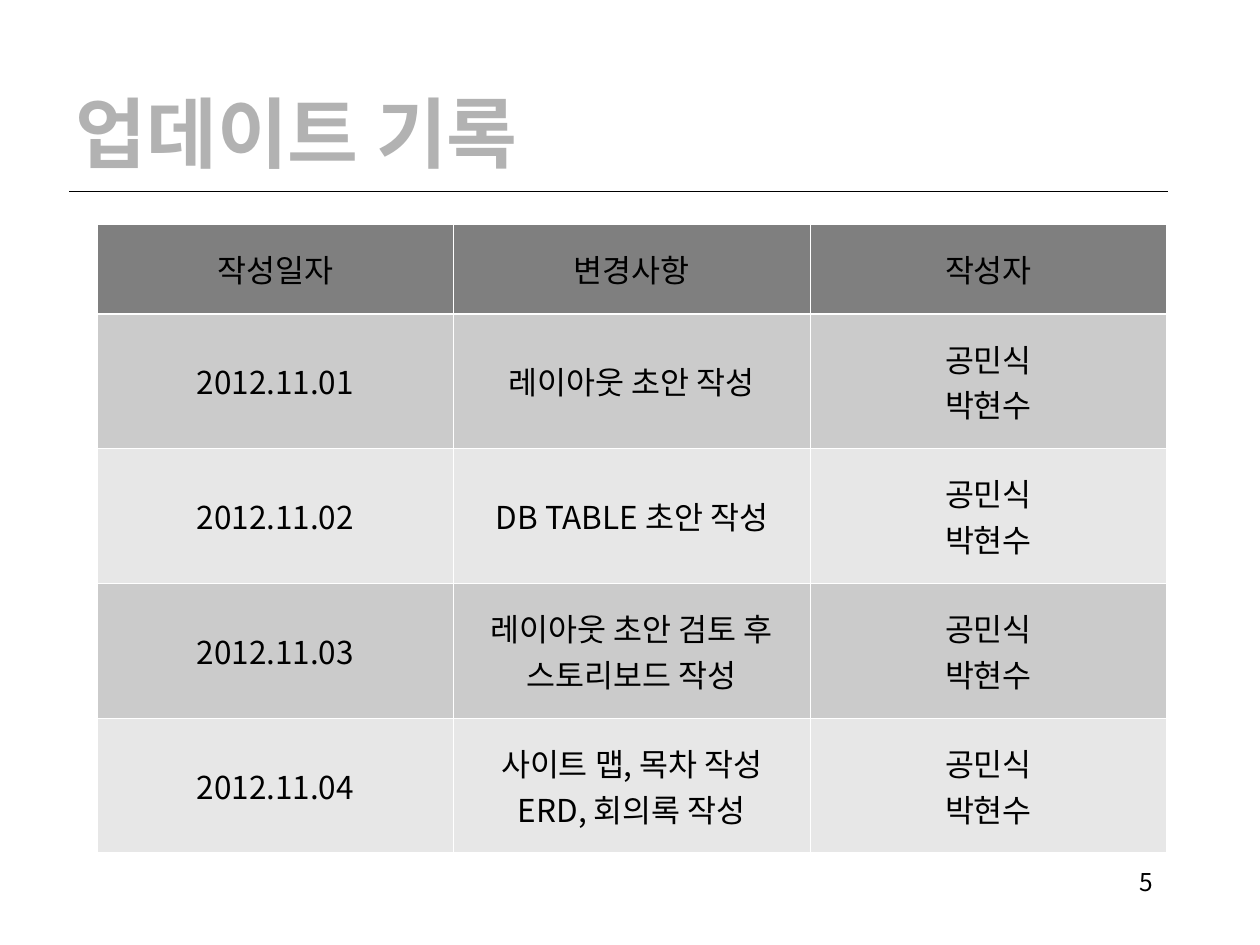
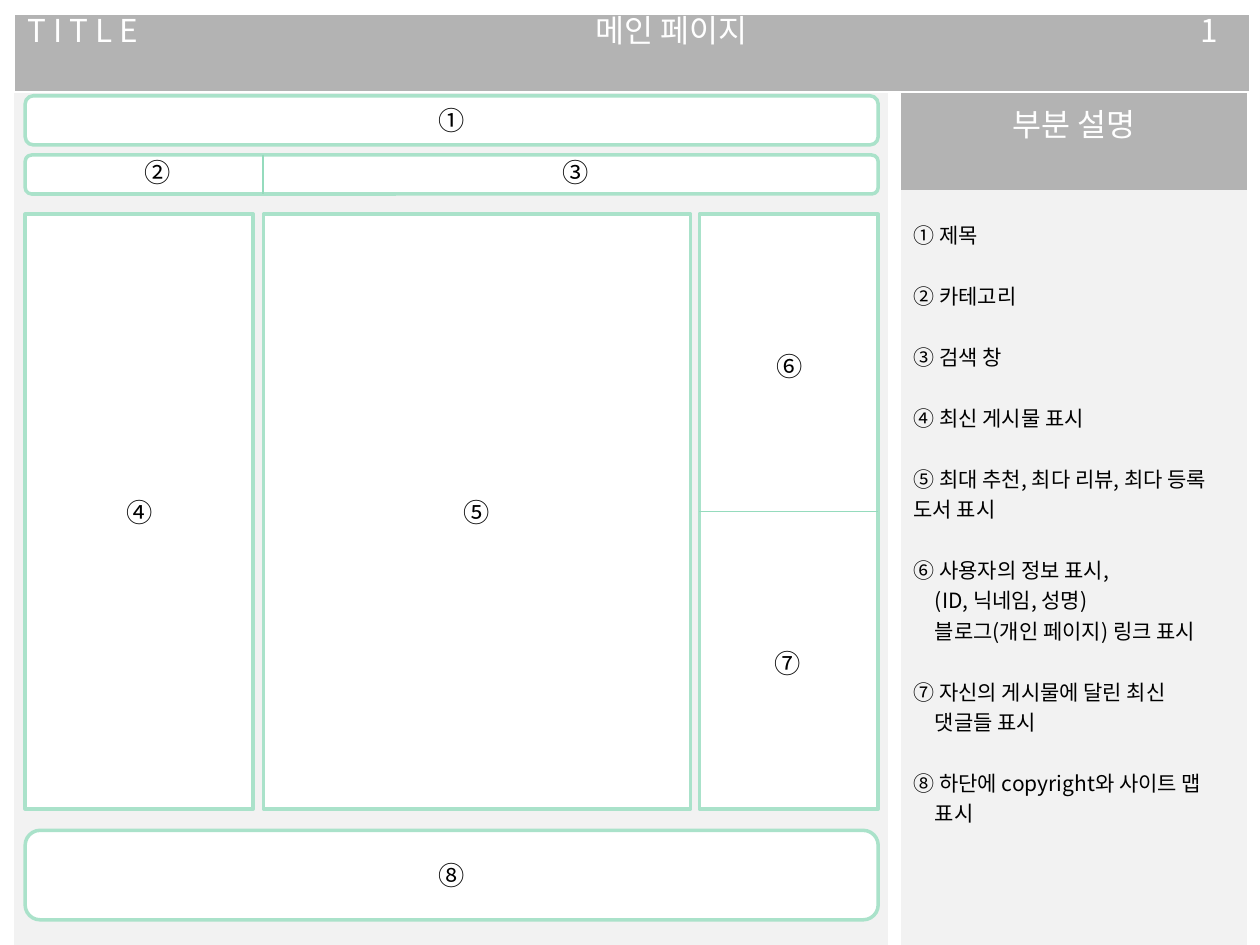
from dataclasses import dataclass
from typing import NamedTuple

from lxml.etree import SubElement
from pptx import Presentation
from pptx.dml.color import RGBColor
from pptx.enum.shapes import MSO_CONNECTOR, MSO_SHAPE
from pptx.enum.text import MSO_ANCHOR, PP_ALIGN
from pptx.oxml import parse_xml
from pptx.oxml.ns import nsdecls, qn
from pptx.util import Inches, Pt

# Shared colours, fonts and text formats
COLORS = {
    "black": "000000", "white": "FFFFFF", "title": "B2B2B2",
    "band": "B3B3B3", "panel": "F2F2F2", "head": "7F7F7F",
    "dark": "CBCBCB", "light": "E7E7E7", "mint": "AAE2CA", "split": "95DBBD",
}
SANS = "Noto Sans CJK KR"
LEFT, MID, RIGHT = PP_ALIGN.LEFT, PP_ALIGN.CENTER, PP_ALIGN.RIGHT


@dataclass(frozen=True)
class Style:
    font: dict
    para: dict
    color: str = "black"


STYLES = {
    "title": Style({"name": "DejaVu Sans", "size": Pt(44), "bold": True},
                   {"alignment": LEFT}, "title"),
    "page": Style({"name": SANS, "size": Pt(14)}, {"alignment": RIGHT}),
    "cell": Style({"name": SANS, "size": Pt(18)}, {"alignment": MID}),
    "mark": Style({"name": SANS, "size": Pt(15)}, {"alignment": MID}),
    "note": Style({"name": SANS, "size": Pt(12)}, {"alignment": LEFT}),
    "band": Style({"name": SANS, "size": Pt(18)},
                  {"alignment": MID, "line_spacing": 0.58}, "white"),
    "left": Style({"name": SANS, "size": Pt(18)},
                  {"alignment": LEFT, "line_spacing": 0.58}, "white"),
    "side": Style({"name": SANS, "size": Pt(18)}, {"alignment": MID}, "white"),
}


class Box(NamedTuple):
    left: float
    top: float
    width: float
    height: float

    def place(self) -> list:
        return [Inches(v) for v in self]


@dataclass(frozen=True)
class Part:
    box: Box
    text: str = ""
    kind: int = MSO_SHAPE.RECTANGLE


@dataclass(frozen=True)
class Line:
    start: tuple
    end: tuple
    color: str
    width: float


def paint(name: str) -> RGBColor:
    return RGBColor.from_string(COLORS[name])


def apply(item, values: dict) -> None:
    for key, value in values.items():
        setattr(item, key, value)


# Text
def write(frame, text: str, style: str) -> None:
    look = STYLES[style]
    for i, row in enumerate(text.split("\n")):
        para = frame.paragraphs[0] if i == 0 else frame.add_paragraph()
        apply(para, look.para)
        run = para.add_run()
        run.text = row
        apply(run.font, look.font)
        run.font.color.rgb = paint(look.color)
        SubElement(run.font._element, qn("a:ea"), typeface=SANS)


def add_text(slide, box: Box, text: str, style: str) -> None:
    frame = slide.shapes.add_textbox(*box.place()).text_frame
    frame.word_wrap = True
    write(frame, text, style)


# Shapes and lines
def add_part(slide, part: Part) -> None:
    shape = slide.shapes.add_shape(part.kind, *part.box.place())
    shape.shadow.inherit = False
    shape.fill.solid()
    shape.fill.fore_color.rgb = paint("white")
    shape.line.color.rgb = paint("mint")
    shape.line.width = Pt(2)
    if part.text:
        shape.text_frame.vertical_anchor = MSO_ANCHOR.MIDDLE
        write(shape.text_frame, part.text, "mark")


def add_line(slide, line: Line) -> None:
    ends = [Inches(v) for v in line.start + line.end]
    rule = slide.shapes.add_connector(MSO_CONNECTOR.STRAIGHT, *ends)
    rule.line.color.rgb = paint(line.color)
    rule.line.width = Pt(line.width)
    SubElement(rule._element.spPr, qn("a:effectLst"))


# Tables
def add_table(slide, box: Box, cols: list, rows: list):
    table = slide.shapes.add_table(len(rows), len(cols), *box.place()).table
    apply(table, {"first_row": False, "horz_banding": False})
    for col, width in zip(table.columns, cols):
        col.width = Inches(width)
    for row, height in zip(table.rows, rows):
        row.height = Inches(height)
    return table


def fill_cell(cell, color: str, text: str = "", style: str = "cell") -> None:
    cell.fill.solid()
    cell.fill.fore_color.rgb = paint(color)
    if text:
        write(cell.text_frame, text, style)


def edge(cell, widths: dict) -> None:
    """Set borders in points; zero means no line."""
    for i, side in enumerate("LRTB"):
        width = widths.get(side, 0)
        ink = (f'<a:solidFill><a:srgbClr val="{COLORS["white"]}"/></a:solidFill>'
               if width else "<a:noFill/>")
        node = parse_xml(f'<a:ln{side} {nsdecls("a")} w="{int(Pt(width))}">'
                         f"{ink}</a:ln{side}>")
        cell._tc.get_or_add_tcPr().insert(i, node)


# Slide 1: update log
TEAM = "공민식\n박현수"
LOG = [
    ("작성일자", "변경사항", "작성자"),
    ("2012.11.01", "레이아웃 초안 작성", TEAM),
    ("2012.11.02", "DB TABLE 초안 작성", TEAM),
    ("2012.11.03", "레이아웃 초안 검토 후 스토리보드 작성", TEAM),
    ("2012.11.04", "사이트 맵, 목차 작성\nERD, 회의록 작성", TEAM),
]


def draw_log(slide) -> None:
    add_text(slide, Box(7.17, 6.83, 2.08, 0.5), "5", "page")
    add_text(slide, Box(0.5, 0.63, 9, 0.84), "업데이트 기록", "title")
    add_line(slide, Line((0.55, 1.52), (9.27, 1.52), "black", 0.75))
    table = add_table(slide, Box(0.77, 1.78, 8.48, 5), [2.83] * 3,
                      [0.71] + [1.07] * 4)
    thin, thick = 0.45, 1.47
    for r, row in enumerate(LOG):
        color = "head" if r == 0 else ("light", "dark")[r % 2]
        for c, text in enumerate(row):
            cell = table.cell(r, c)
            fill_cell(cell, color, text)
            cell.vertical_anchor = MSO_ANCHOR.MIDDLE
            edge(cell, {"L": thin, "R": thin,
                        "T": thick if r == 1 else thin,
                        "B": thick if r == 0 else thin})


# Slide 2: main page layout
BAND = [("T I T L E", "left"), ("메인 페이지", "band"), ("1", "band")]
NOTES = [
    "① 제목",
    "② 카테고리",
    "③ 검색 창",
    "④ 최신 게시물 표시",
    "⑤ 최대 추천, 최다 리뷰, 최다 등록 도서 표시",
    "⑥ 사용자의 정보 표시,\n(ID, 닉네임, 성명)\n블로그(개인 페이지) 링크 표시",
    "⑦ 자신의 게시물에 달린 최신\n댓글들 표시",
    "⑧ 하단에 copyright와 사이트 맵\n표시",
]
X, WIDE, TOP, TALL = 0.2, 6.77, 1.7, 4.72
ROUND = MSO_SHAPE.ROUNDED_RECTANGLE
PARTS = [
    Part(Box(X, 0.76, WIDE, 0.39), "①", ROUND),
    Part(Box(X, 1.23, WIDE, 0.31), "", ROUND),
    Part(Box(X, TOP, 1.81, TALL), "④"),
    Part(Box(2.09, TOP, 3.39, TALL), "⑤"),
    Part(Box(5.55, TOP, 1.42, TALL)),
    Part(Box(X, 6.59, WIDE, 0.71), "⑧", ROUND),
]
SPLITS = [
    Line((5.55, 4.06), (6.97, 4.06), "split", 1),
    Line((2.09, 1.23), (2.09, 1.54), "split", 1),
]
MARKS = [
    Part(Box(0.74, 1.19, 1.02, 0.35), "②"),
    Part(Box(4.29, 1.19, 0.55, 0.35), "③"),
    Part(Box(5.91, 2.73, 0.71, 0.35), "⑥"),
    Part(Box(6.04, 5.09, 0.43, 0.35), "⑦"),
]


def draw_notes(cell) -> None:
    fill_cell(cell, "panel", "\n".join(NOTES), "note")
    cell.margin_top = Inches(0.23)
    for i, para in enumerate(cell.text_frame.paragraphs):
        if para.text not in NOTES and para.text[0] not in "⑥⑦⑧":
            para._p.get_or_add_pPr().set("marL", str(Inches(0.17)))
        elif i:
            para.space_before = Pt(17.4)


def draw_page(slide) -> None:
    # Title band
    band = add_table(slide, Box(0.12, 0.12, 9.79, 0.6), [1.26, 7.9, 0.63], [0.6])
    for c, (text, style) in enumerate(BAND):
        fill_cell(band.cell(0, c), "band", text, style)
    # Side notes
    side = add_table(slide, Box(7.15, 0.74, 2.75, 6.99), [2.75], [0.77, 6.22])
    fill_cell(side.cell(0, 0), "band", "부분 설명", "side")
    draw_notes(side.cell(1, 0))
    # Page frame
    back = add_table(slide, Box(0.11, 0.74, 6.94, 6.79), [6.94], [6.79])
    fill_cell(back.cell(0, 0), "panel")
    for table in (band, side, back):
        for cell in table.iter_cells():
            edge(cell, {})
    for part in PARTS:
        add_part(slide, part)
    for line in SPLITS:
        add_line(slide, line)
    for mark in MARKS:
        add_text(slide, mark.box, mark.text, "mark")


def main() -> None:
    deck = Presentation()
    apply(deck, {"slide_width": Inches(10), "slide_height": Inches(7.5)})
    for draw in (draw_log, draw_page):
        draw(deck.slides.add_slide(deck.slide_layouts[6]))
    deck.save("out.pptx")


if __name__ == "__main__":
    main()
